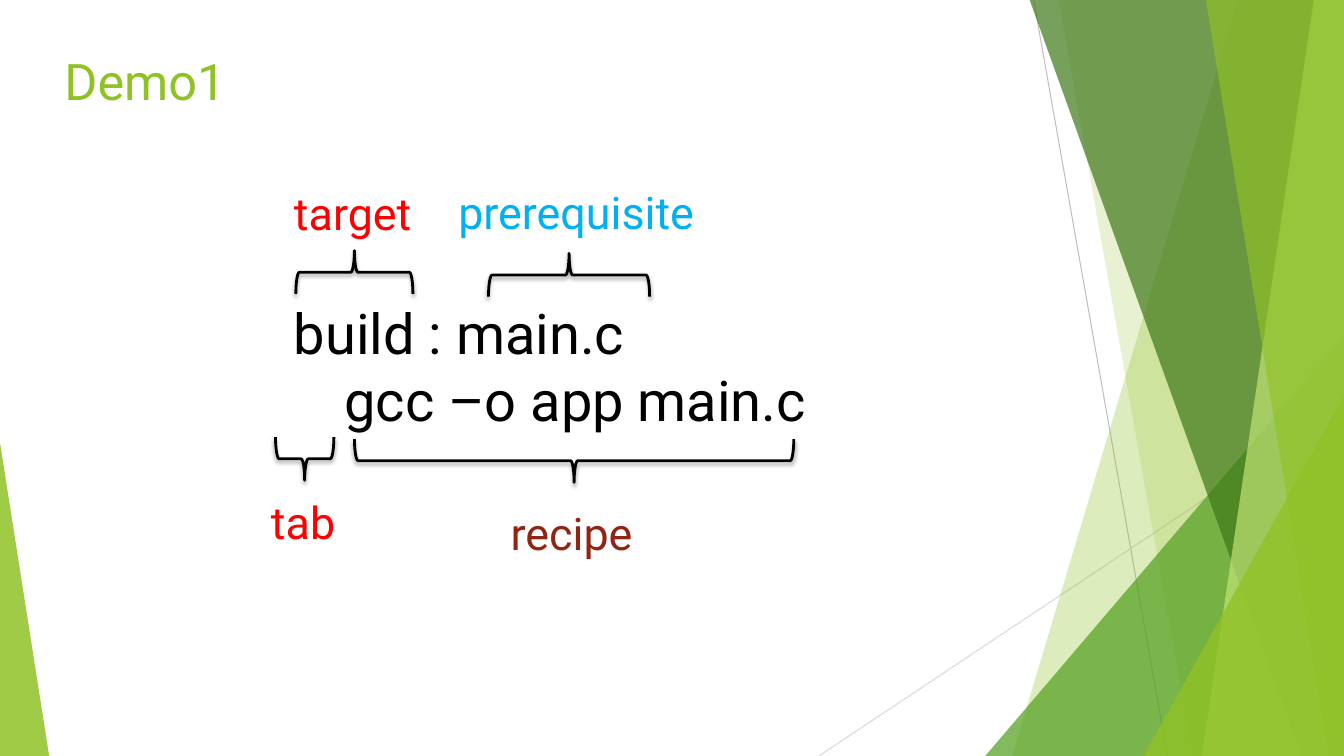
from pptx import Presentation
from pptx.dml.color import RGBColor
from pptx.enum.shapes import MSO_CONNECTOR, MSO_SHAPE
from pptx.enum.text import MSO_ANCHOR, PP_ALIGN
from pptx.oxml.ns import qn
from pptx.util import Cm, Pt
from lxml import etree

STRAIGHT = MSO_CONNECTOR.STRAIGHT
TRIANGLE, LEFT_BRACE = MSO_SHAPE.ISOSCELES_TRIANGLE, MSO_SHAPE.LEFT_BRACE
TOP, LEFT = MSO_ANCHOR.TOP, PP_ALIGN.LEFT
FONT = "Roboto"
SLIDE_W, SLIDE_H = 33.87, 19.05
BRACE_DEPTH = 1.09
COLORS = {
    "lime": "90C226", "green": "54A021", "forest": "3F7819", "pale": "C0E474",
    "line": "BFBFBF", "faint": "D9D9D9", "black": "000000",
    "red": "FF0000", "blue": "00B0F0", "brown": "932313",
}


def rgb(name):
    return RGBColor.from_string(COLORS[name])


def child(parent, tag, **attributes):
    element = etree.SubElement(parent, qn(tag))
    for key, value in attributes.items():
        element.set(key, str(value))
    return element


def paint(shape, color, opacity):
    """Fill a shape without outline; opacity is a percentage."""
    shape.shadow.inherit = False
    shape.fill.solid()
    shape.fill.fore_color.rgb = rgb(color)
    shape.line.fill.background()
    fill = shape.fill._xPr.find(qn("a:solidFill"))
    child(fill[0], "a:alpha", val=opacity * 1000)


def add_line(slide, start, end, color):
    line = slide.shapes.add_connector(STRAIGHT, *map(Cm, start + end))
    line.line.color.rgb = rgb(color)
    line.line.width = Pt(0.75)
    child(line._element.spPr, "a:effectLst")


def add_facet(slide, right, height, top_inset, bottom_inset, color, opacity):
    """Draw a slanted panel whose left edge is inset from the right side."""
    builder = slide.shapes.build_freeform(Cm(right - top_inset), 0)
    corners = [(right, 0), (right, height), (right - bottom_inset, height)]
    builder.add_line_segments([(Cm(x), Cm(y)) for x, y in corners])
    paint(builder.convert_to_shape(), color, opacity)


def add_corner(slide, left, bottom, width, height, apex, color, opacity):
    """Draw a triangle on the bottom edge; apex is 0 at left, 1 at right."""
    corner = slide.shapes.add_shape(
        TRIANGLE, Cm(left), Cm(bottom - height), Cm(width), Cm(height))
    corner.adjustments[0] = apex
    paint(corner, color, opacity)


def add_backdrop(slide, width, height):
    add_line(slide, (width - 7.82, 0), (width - 4.45, height), "line")
    add_line(slide, (width, 10.24), (width - 13.23, height), "faint")
    add_facet(slide, width, height, 2.67, 8.36, "lime", 30)
    add_facet(slide, width, height, 7.19, 3.81, "lime", 20)
    add_corner(slide, width - 9.04, height, 9.04, 10.59, 1, "green", 72)
    add_facet(slide, width, height, 7.92, 1.07, "forest", 70)
    add_facet(slide, width, height, 0.76, 3.58, "pale", 70)
    add_facet(slide, width, height, 3.48, 0.38, "lime", 65)
    add_corner(slide, width - 5.05, height, 5.05, 9.07, 1, "lime", 80)
    add_corner(slide, 0, height, 1.24, 7.9, 0, "lime", 85)


def add_run(paragraph, text, size, color):
    paragraph.alignment = LEFT
    run = paragraph.add_run()
    run.text = text
    run.font.name = FONT
    run.font.size = Pt(size)
    run.font.color.rgb = rgb(color)


def add_title(slide, left, top, width, height, text):
    title = slide.shapes.title
    title.left, title.top = Cm(left), Cm(top)
    title.width, title.height = Cm(width), Cm(height)
    title.text_frame.vertical_anchor = TOP
    add_run(title.text_frame.paragraphs[0], text, 36, "lime")


def add_label(slide, left, top, width, text, color):
    label = slide.shapes.add_textbox(Cm(left), Cm(top), Cm(width), Cm(1.62))
    label.text_frame.word_wrap = False
    add_run(label.text_frame.paragraphs[0], text, 32, color)


def add_brace(slide, center_x, center_y, span, rotation):
    brace = slide.shapes.add_shape(
        LEFT_BRACE, Cm(center_x - BRACE_DEPTH / 2), Cm(center_y - span / 2),
        Cm(BRACE_DEPTH), Cm(span))
    brace.rotation = rotation
    brace.fill.background()
    brace.line.color.rgb = rgb("black")
    brace.line.width = Pt(2)
    brace.shadow.inherit = False
    effects = brace._element.spPr.find(qn("a:effectLst"))
    shadow = child(effects, "a:outerShdw", blurRad=Pt(3), dist=Pt(2),
                   dir=90 * 60000, rotWithShape=0)
    shade = child(shadow, "a:srgbClr", val=COLORS["black"])
    child(shade, "a:alpha", val=35000)


def add_code(slide, left, top, width, height, lines):
    code = slide.shapes.add_textbox(Cm(left), Cm(top), Cm(width), Cm(height))
    frame = code.text_frame
    frame.word_wrap = True
    for index, line in enumerate(lines):
        paragraph = frame.add_paragraph() if index else frame.paragraphs[0]
        add_run(paragraph, line, 40, "black")
        tabs = child(paragraph._p.get_or_add_pPr(), "a:tabLst")
        child(tabs, "a:tab", pos=Cm(1.27), algn="l")


def add_rule_diagram(slide, left, top):
    """Show a make rule with a brace and a label for each of its parts."""
    add_code(slide, left + 0.66, top + 2.89, 14.6, 3.68,
             ["build : main.c", "\tgcc –o app main.c"])
    braces = [(2.43, 2.36, 2.95, 90), (7.84, 2.43, 4.06, 90),
              (1.18, 7.06, 1.47, 270), (7.97, 7.11, 11.07, 270)]
    for x, y, span, rotation in braces:
        add_brace(slide, left + x, top + y, span, rotation)
    labels = [(0.66, 0.05, 3.66, "target", "red"),
              (4.8, 0.02, 6.73, "prerequisite", "blue"),
              (0.08, 7.84, 2.21, "tab", "red"),
              (6.12, 8.12, 3.73, "recipe", "brown")]
    for x, y, width, text, color in labels:
        add_label(slide, left + x, top + y, width, text, color)


def main():
    prs = Presentation()
    prs.slide_width, prs.slide_height = Cm(SLIDE_W), Cm(SLIDE_H)
    slide = prs.slides.add_slide(prs.slide_layouts.get_by_name("Title Only"))
    add_backdrop(slide, SLIDE_W, SLIDE_H)
    add_title(slide, 1.37, 1.14, 23.88, 3.66, "Demo1")
    add_rule_diagram(slide, 6.5, 4.5)
    prs.save("out.pptx")


if __name__ == "__main__":
    main()
